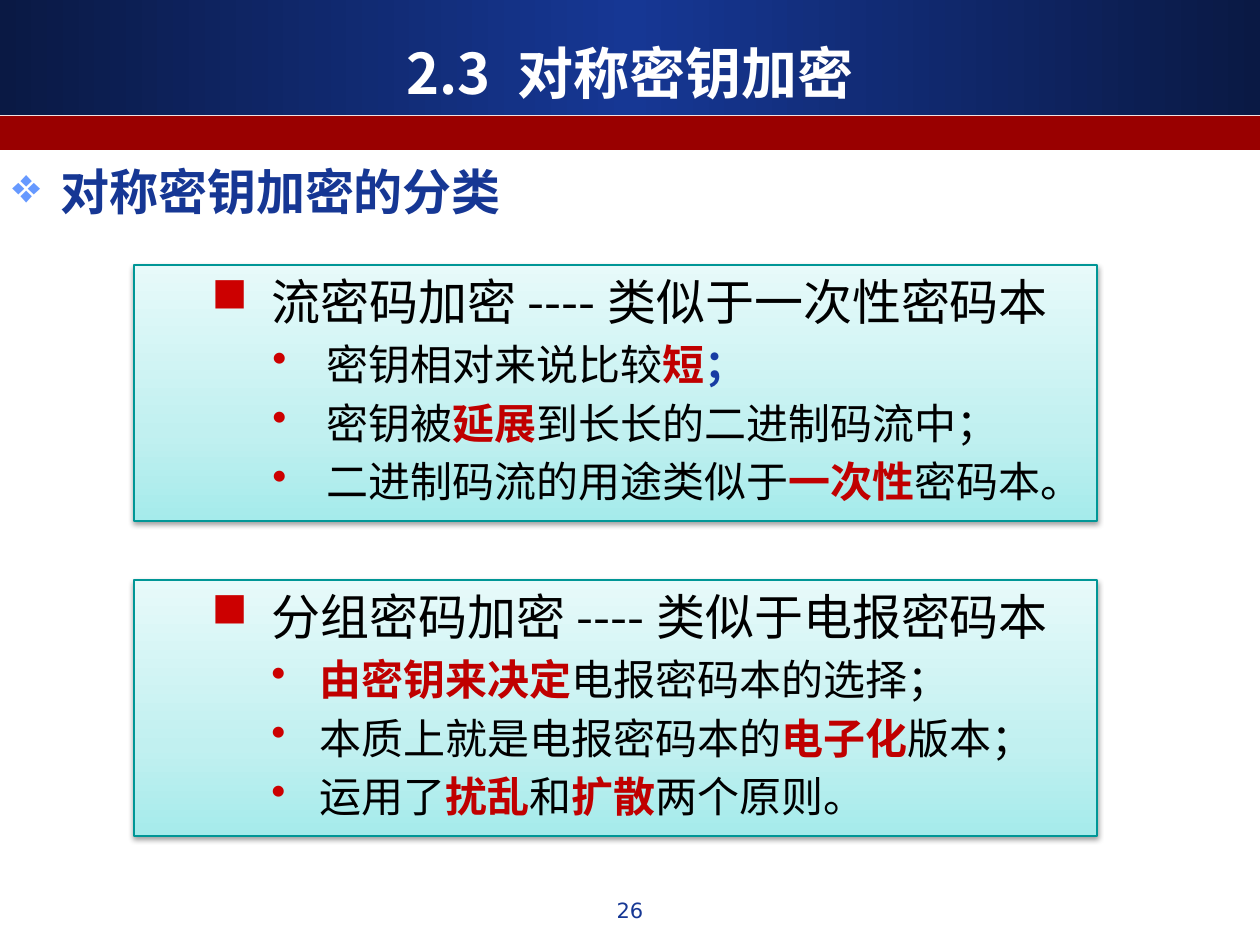
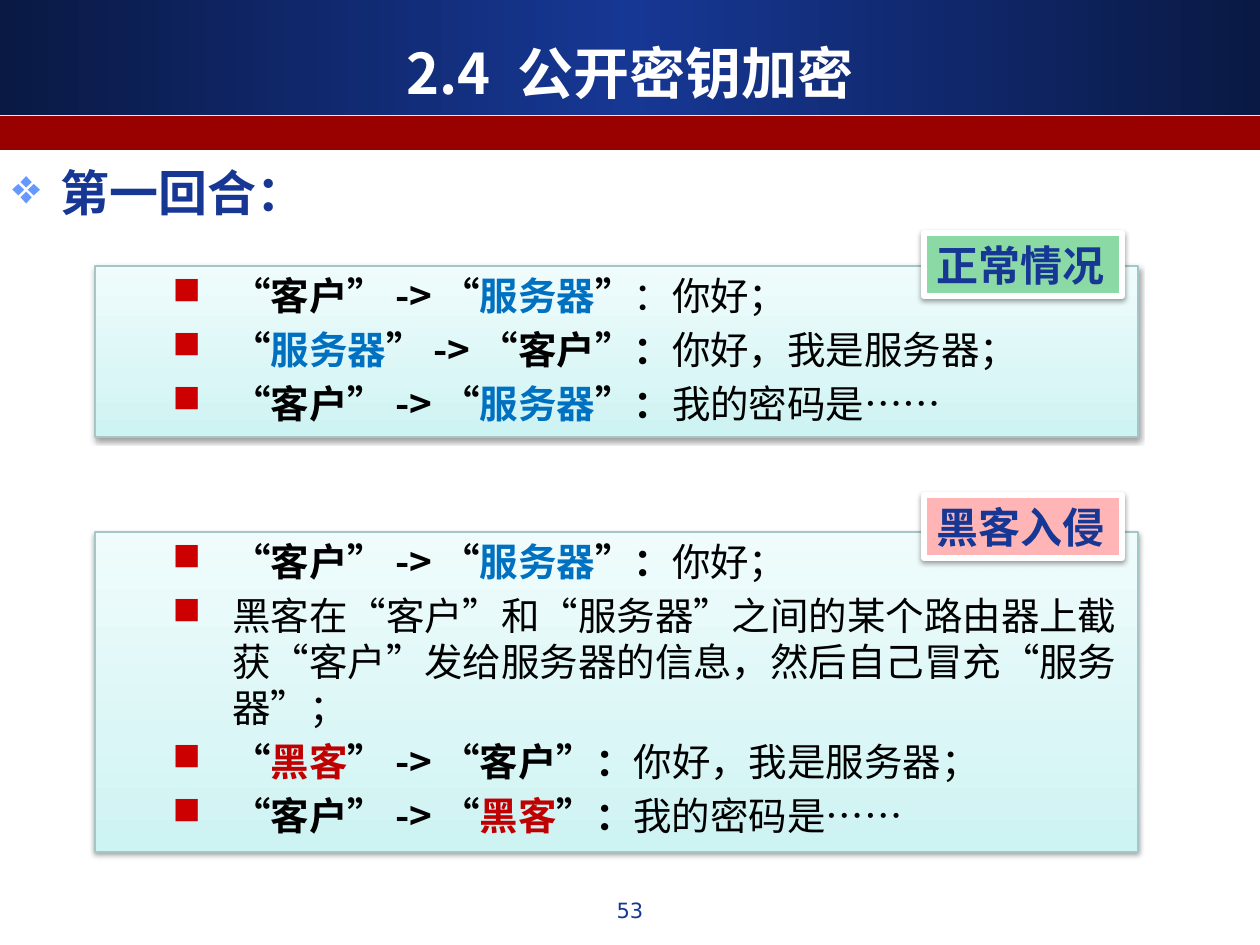
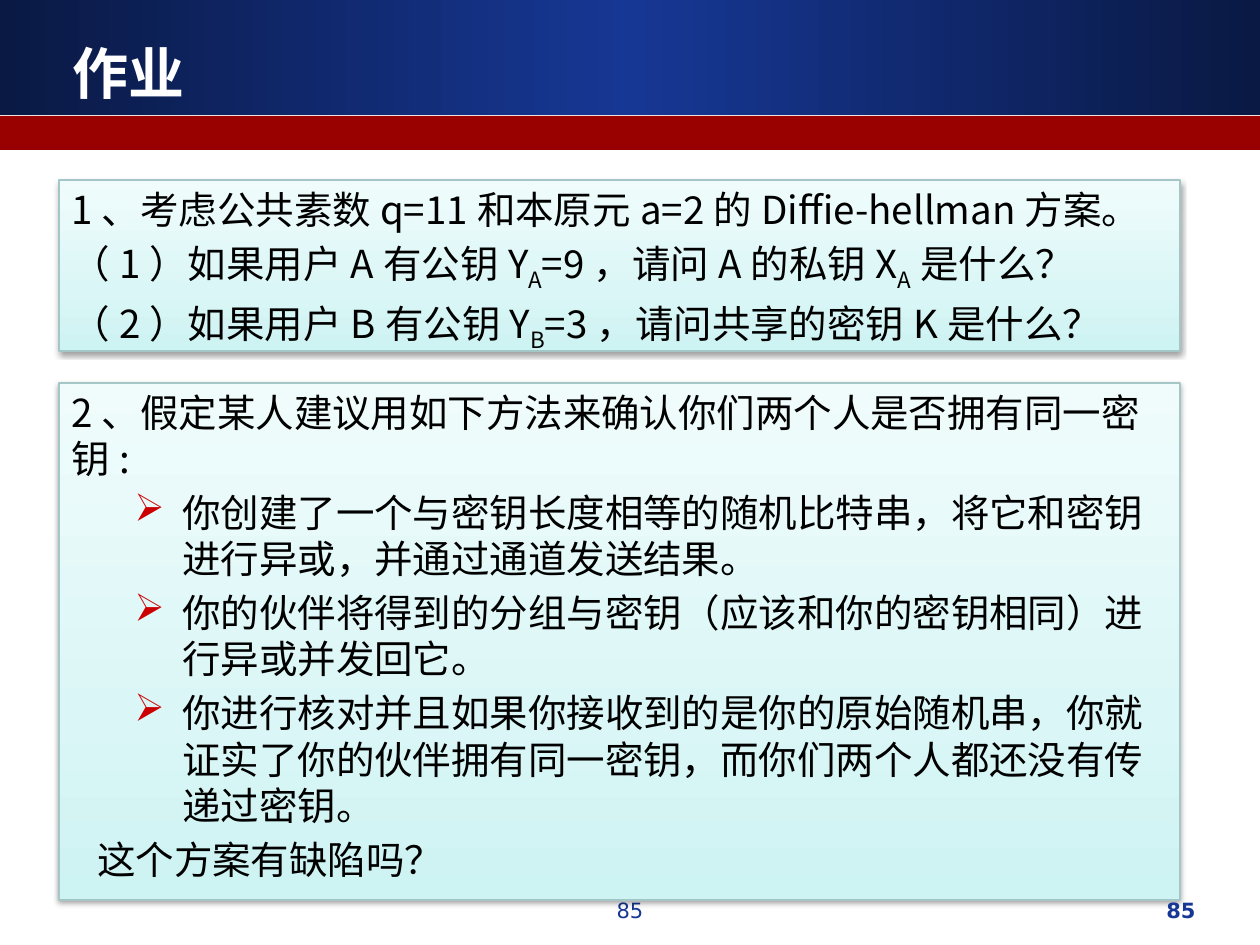
"""Build three slides of a lecture on symmetric and public key encryption."""
from copy import deepcopy

from lxml.etree import SubElement
from pptx import Presentation
from pptx.dml.color import RGBColor
from pptx.enum.lang import MSO_LANGUAGE_ID
from pptx.enum.shapes import MSO_SHAPE
from pptx.enum.text import MSO_ANCHOR, PP_ALIGN
from pptx.oxml.ns import qn
from pptx.util import Emu, Pt

EMU_PER_PX = 914400 / 126
LINE_HEIGHT = 1.2
SUBSCRIPT_LINE_HEIGHT = 1.36
SPACE_BEFORE = 0.2

TEXT_FONT = "Noto Sans CJK SC"
NUMBER_FONT = "DejaVu Sans"

WHITE = RGBColor(0xFF, 0xFF, 0xFF)
BLACK = RGBColor(0x00, 0x00, 0x00)
NAVY = RGBColor(0x16, 0x37, 0x94)
DARK_NAVY = RGBColor(0x0A, 0x19, 0x44)
SEMICOLON_BLUE = RGBColor(0x18, 0x3C, 0xA3)
SERVER_BLUE = RGBColor(0x00, 0x70, 0xC0)
DIAMOND_BLUE = RGBColor(0x66, 0x99, 0xFF)
BAND_RED = RGBColor(0x99, 0x00, 0x00)
BULLET_RED = RGBColor(0xCC, 0x00, 0x00)
TEXT_RED = RGBColor(0xC0, 0x00, 0x00)
TEAL = RGBColor(0x00, 0x96, 0x96)
GREY_TEAL = RGBColor(0xA5, 0xC6, 0xC6)
GREEN = RGBColor(0x8B, 0xD9, 0xA5)
PINK = RGBColor(0xFF, 0xB5, 0xB5)

HEADER_STOPS = [(0, DARK_NAVY), (0.5, NAVY), (1, DARK_NAVY)]
STRONG_STOPS = [(0, RGBColor(0xA5, 0xEB, 0xEB)), (0.35, RGBColor(0xC1, 0xF0, 0xF0)),
                (1, RGBColor(0xE7, 0xFA, 0xFA))]
SOFT_STOPS = [(0, RGBColor(0xCD, 0xF3, 0xF3)), (0.35, RGBColor(0xDB, 0xF6, 0xF6)),
              (1, RGBColor(0xF0, 0xFC, 0xFC))]
STRONG_PANEL = {"stops": STRONG_STOPS, "line": TEAL}
SOFT_PANEL = {"stops": SOFT_STOPS, "line": GREY_TEAL}

RUN_STYLES = {
    "plain": {"color": BLACK, "bold": False},
    "bold": {"color": BLACK, "bold": True},
    "red": {"color": TEXT_RED, "bold": True},
    "blue": {"color": SERVER_BLUE, "bold": True},
    "semicolon": {"color": SEMICOLON_BLUE, "bold": True},
    "heading": {"color": NAVY, "bold": True},
    "title": {"color": WHITE, "bold": True},
    "number": {"color": NAVY, "bold": False, "name": NUMBER_FONT},
    "bold number": {"color": NAVY, "bold": True, "name": NUMBER_FONT},
    "subscript": {"color": BLACK, "bold": False},
}

LISTS = {
    "none": {"level": 0, "left": 0, "hanging": 0},
    "question": {"level": 0, "left": 26, "hanging": 0},
    "diamond": {"level": 0, "left": 48, "hanging": 48, "mark": "❖", "color": DIAMOND_BLUE},
    "square": {"level": 1, "left": 125, "hanging": 60, "mark": "■", "color": BULLET_RED},
    "wide dot": {"level": 2, "left": 180, "hanging": 54, "mark": "•", "color": BULLET_RED},
    "dot": {"level": 2, "left": 173, "hanging": 48, "mark": "•", "color": BULLET_RED},
    "arrow": {"level": 1, "left": 111, "hanging": 48, "mark": "➢", "color": BULLET_RED},
}

ROLES = {"客户": "bold", "服务器": "blue", "黑客": "red"}


def px(length):
    """Turn a length in px into EMU."""
    return Emu(round(length * EMU_PER_PX))


def line(list_kind, size, *runs):
    """Describe one paragraph; a bare string is a plain run."""
    pairs = [(run, "plain") if isinstance(run, str) else run for run in runs]
    return list_kind, size, pairs


def message(sender, receiver, words, colon="bold"):
    """Describe one message passed between two parties."""
    return line("square", 22, ("“", "bold"), (sender, ROLES[sender]), ("”->“", "bold"),
                (receiver, ROLES[receiver]), ("”", "bold"), ("：", colon), words)


class Deck:
    """Hold the shared style and the current slide."""

    def __init__(self):
        """Start a presentation of 1260 by 945 px."""
        self.presentation = Presentation()
        self.presentation.slide_width = px(1260)
        self.presentation.slide_height = px(945)
        self.slide = None

    def new_slide(self, title, number, title_width=1260):
        """Add a slide with its bands, page number and title."""
        self.slide = self.presentation.slides.add_slide(self.presentation.slide_layouts[6])
        header = self.rectangle(0, 0, 1260, 115)
        self.gradient(header, HEADER_STOPS, 180)
        self.rectangle(0, 116, 1260, 34, BAND_RED)
        self.text_box(483, 891, 294, 44, line("none", 12, (number, "number")),
                      PP_ALIGN.CENTER)
        self.text_box(0, 37, title_width, 71, line("none", 32, (title, "title")),
                      PP_ALIGN.CENTER, MSO_ANCHOR.MIDDLE)

    def rectangle(self, left, top, width, height, color=None):
        """Add a plain rectangle without a line or shadow."""
        shape = self.slide.shapes.add_shape(
            MSO_SHAPE.RECTANGLE, px(left), px(top), px(width), px(height))
        shape.shadow.inherit = False
        shape.line.fill.background()
        if color is not None:
            shape.fill.solid()
            shape.fill.fore_color.rgb = color
        return shape

    def gradient(self, shape, stops, angle):
        """Fill a shape with a linear gradient of three stops."""
        shape.fill.gradient()
        shape.fill.gradient_angle = angle
        stop_list = shape.element.spPr.find(".//" + qn("a:gsLst"))
        stop_list.append(deepcopy(stop_list[0]))
        for stop, (position, color) in zip(shape.fill.gradient_stops, stops):
            stop.position = position
            stop.color.rgb = color

    def outline(self, shape, color, width):
        """Give a shape a coloured line and a soft shadow below it."""
        shape.line.color.rgb = color
        shape.line.width = Pt(width)
        effects = shape.element.spPr.find(qn("a:effectLst"))
        shadow = SubElement(effects, qn("a:outerShdw"), blurRad="40000", dist="20000",
                            dir="5400000", rotWithShape="0")
        black = SubElement(shadow, qn("a:srgbClr"), val=str(BLACK))
        SubElement(black, qn("a:alpha"), val="38000")

    def panel(self, left, top, width, height, style, lines):
        """Add a gradient panel holding several lines."""
        shape = self.rectangle(left, top, width, height)
        self.gradient(shape, style["stops"], 90)
        self.outline(shape, style["line"], 0.75)
        self.fill_text(shape.text_frame, lines)

    def label(self, top, text, color):
        """Add a white-framed label over the right end of a panel."""
        shape = self.rectangle(924, top, 198, 63, color)
        self.outline(shape, WHITE, 3)
        self.fill_text(shape.text_frame, [line("none", 24, (text, "heading"))])

    def heading(self, top, width, text):
        """Add the heading below the bands."""
        self.text_box(0, top, width, 71, line("diamond", 28, (text, "heading")))

    def text_box(self, left, top, width, height, content,
                 alignment=PP_ALIGN.LEFT, anchor=MSO_ANCHOR.TOP):
        """Add a text box with one line."""
        box = self.slide.shapes.add_textbox(px(left), px(top), px(width), px(height))
        self.fill_text(box.text_frame, [content], alignment, anchor)

    def fill_text(self, frame, lines, alignment=PP_ALIGN.LEFT, anchor=MSO_ANCHOR.TOP):
        """Put lines into a text frame."""
        frame.word_wrap = True
        frame.vertical_anchor = anchor
        for index, (list_kind, size, runs) in enumerate(lines):
            paragraph = frame.add_paragraph() if index else frame.paragraphs[0]
            self.indent(paragraph, LISTS[list_kind])
            lowered = any(style == "subscript" for _, style in runs)
            height = SUBSCRIPT_LINE_HEIGHT if lowered else LINE_HEIGHT
            formats = {"alignment": alignment, "line_spacing": Pt(size * height),
                       "space_before": Pt(size * SPACE_BEFORE if index else 0)}
            for name, value in formats.items():
                setattr(paragraph, name, value)
            for text, style in runs:
                self.add_run(paragraph, text, size, style)

    def indent(self, paragraph, style):
        """Set the level, indent and bullet of a paragraph."""
        paragraph.level = style["level"]
        properties = paragraph._p.get_or_add_pPr()
        properties.set("marL", str(px(style["left"])))
        properties.set("indent", str(px(-style["hanging"])))
        if "mark" in style:
            bullet_color = SubElement(properties, qn("a:buClr"))
            SubElement(bullet_color, qn("a:srgbClr"), val=str(style["color"]))
            SubElement(properties, qn("a:buChar"), char=style["mark"])
        else:
            SubElement(properties, qn("a:buNone"))

    def add_run(self, paragraph, text, size, style):
        """Add one run in a named style."""
        run = paragraph.add_run()
        run.text = text
        formats = {"name": TEXT_FONT, "size": Pt(size),
                   "language_id": MSO_LANGUAGE_ID.SIMPLIFIED_CHINESE, **RUN_STYLES[style]}
        color = formats.pop("color")
        for name, value in formats.items():
            setattr(run.font, name, value)
        properties = run._r.get_or_add_rPr()
        SubElement(properties, qn("a:ea"), typeface=formats["name"])
        run.font.color.rgb = color
        if style == "subscript":
            properties.set("baseline", "-25000")


def symmetric_slide(deck):
    """Build the slide on kinds of symmetric encryption."""
    deck.new_slide("2.3 对称密钥加密", "26")
    deck.heading(155, 596, "对称密钥加密的分类")
    stream_cipher = [
        line("square", 28, "流密码加密----类似于一次性密码本"),
        line("wide dot", 24, "密钥相对来说比较", ("短", "red"), ("；", "semicolon")),
        line("wide dot", 24, "密钥被", ("延展", "red"), "到长长的二进制码流中；"),
        line("wide dot", 24, "二进制码流的用途类似于", ("一次性", "red"), "密码本。"),
    ]
    block_cipher = [
        line("square", 28, "分组密码加密----类似于电报密码本"),
        line("dot", 24, ("由密钥来决定", "red"), "电报密码本的选择；"),
        line("dot", 24, "本质上就是电报密码本的", ("电子化", "red"), "版本；"),
        line("dot", 24, "运用了", ("扰乱", "red"), "和", ("扩散", "red"), "两个原则。"),
    ]
    for top, lines in ((265, stream_cipher), (580, block_cipher)):
        deck.panel(134, top, 963, 256, STRONG_PANEL, lines)


def public_key_slide(deck):
    """Build the slide on the first round of messages."""
    deck.new_slide("2.4 公开密钥加密", "53")
    deck.heading(156, 377, "第一回合：")
    deck.panel(95, 266, 1043, 171, SOFT_PANEL, [
        message("客户", "服务器", "你好；", colon="plain"),
        message("服务器", "客户", "你好，我是服务器；"),
        message("客户", "服务器", "我的密码是……"),
    ])
    deck.panel(95, 532, 1043, 320, SOFT_PANEL, [
        message("客户", "服务器", "你好；"),
        line("square", 22, "黑客在“客户”和“服务器”之间的某个路由器上截获“客户”"
             "发给服务器的信息，然后自己冒充“服务器”；"),
        message("黑客", "客户", "你好，我是服务器；"),
        message("客户", "黑客", "我的密码是……"),
    ])
    deck.label(233, "正常情况", GREEN)
    deck.label(495, "黑客入侵", PINK)


def homework_slide(deck):
    """Build the homework slide."""
    deck.new_slide("作业", "85", title_width=258)
    deck.panel(59, 383, 1121, 517, SOFT_PANEL, [
        line("none", 22, "2、假定某人建议用如下方法来确认你们两个人是否拥有同一密钥:"),
        line("arrow", 22, "你创建了一个与密钥长度相等的随机比特串，将它和密钥进行异或，"
             "并通过通道发送结果。"),
        line("arrow", 22, "你的伙伴将得到的分组与密钥（应该和你的密钥相同）进行异或并发回它。"),
        line("arrow", 22, "你进行核对并且如果你接收到的是你的原始随机串，"
             "你就证实了你的伙伴拥有同一密钥，而你们两个人都还没有传递过密钥。"),
        line("question", 22, "这个方案有缺陷吗？"),
    ])
    deck.panel(59, 180, 1121, 171, SOFT_PANEL, [
        line("none", 22, "1、考虑公共素数q=11和本原元a=2的Diffie-hellman方案。"),
        line("none", 22, "（1）如果用户A有公钥Y", ("A", "subscript"), "=9，请问A的私钥X",
             ("A", "subscript"), "是什么？"),
        line("none", 22, "（2）如果用户B有公钥Y", ("B", "subscript"),
             "=3，请问共享的密钥K是什么？"),
    ])
    deck.text_box(809, 891, 399, 44, line("none", 12, ("85", "bold number")), PP_ALIGN.RIGHT)


def main():
    """Build and save the presentation."""
    deck = Deck()
    symmetric_slide(deck)
    public_key_slide(deck)
    homework_slide(deck)
    deck.presentation.save("out.pptx")


if __name__ == "__main__":
    main()
